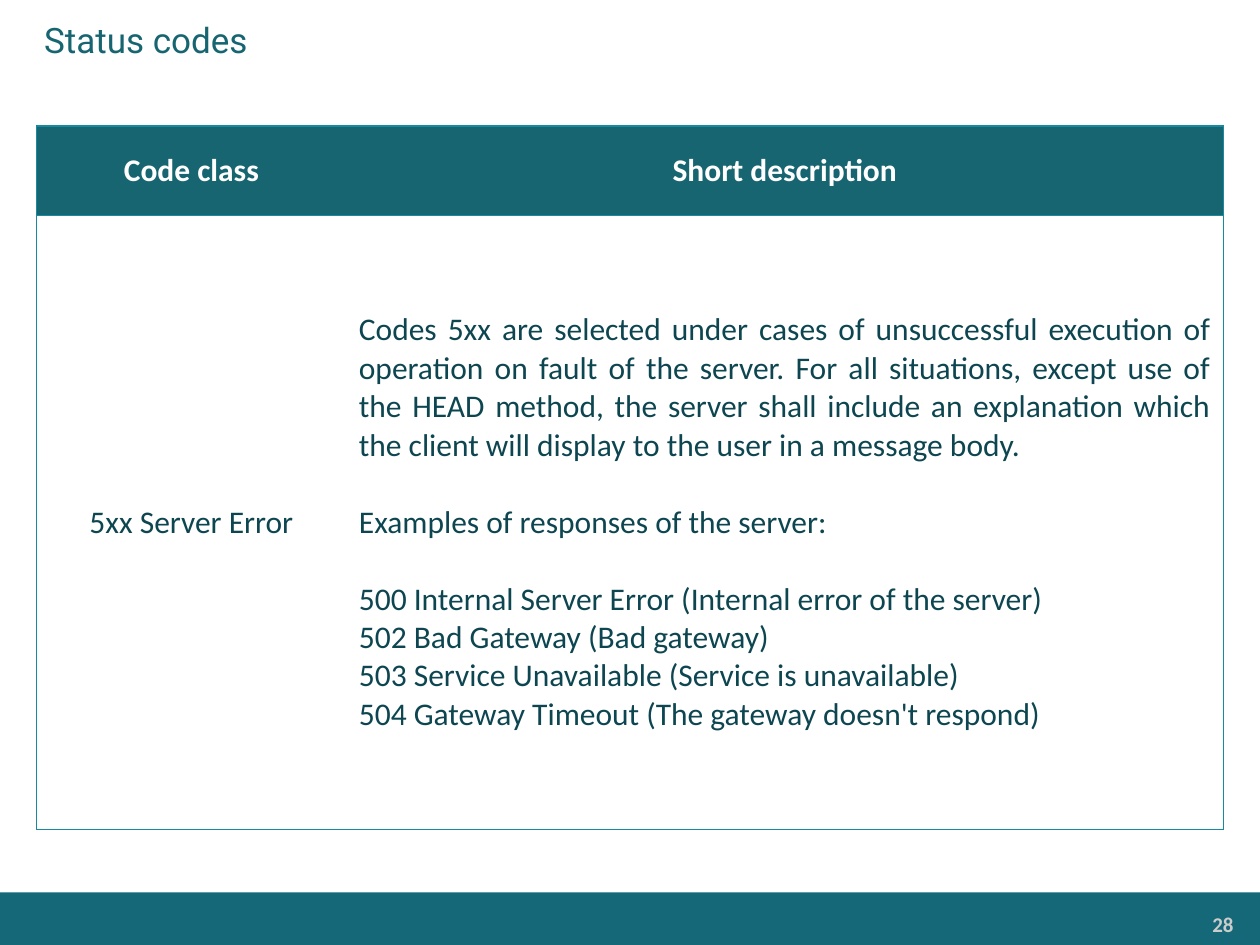
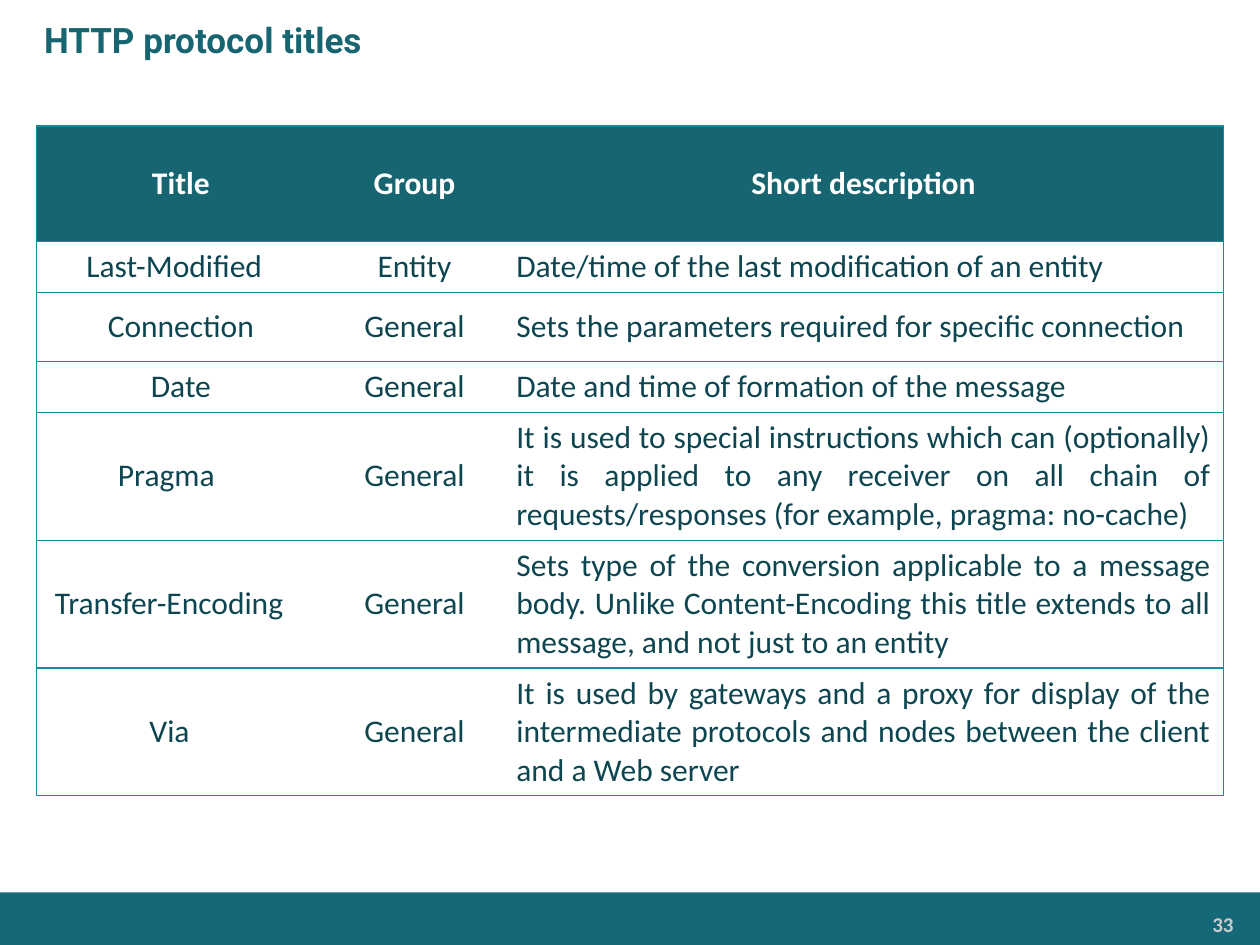
from dataclasses import dataclass

from lxml.etree import SubElement
from pptx import Presentation
from pptx.dml.color import RGBColor
from pptx.enum.shapes import MSO_SHAPE
from pptx.enum.text import MSO_ANCHOR, PP_ALIGN
from pptx.oxml.ns import qn
from pptx.util import Pt


@dataclass(frozen=True)
class Theme:
    heading: str = "176571"
    band: str = "146878"
    border: str = "178AA0"
    body: str = "0D4650"
    white: str = "FFFFFF"
    page_number: str = "CCCCCC"
    title_font: str = "Roboto"
    body_font: str = "Calibri"
    title_size: int = 20
    body_size: int = 18
    number_size: int = 12
    border_width: float = 0.75


THEME = Theme()
TABLE_LEFT, TABLE_TOP = 20.9, 72
ONE_LINE, THREE_LINES = 29.2, 73.1
PARAGRAPH_GAP = 22

STATUS_ROWS = [
    ["Code class", "Short description"],
    ["5xx Server Error", [
        "Codes 5xx are selected under cases of unsuccessful execution of operation on fault "
        "of the server. For all situations, except use of the HEAD method, the server shall "
        "include an explanation which the client will display to the user in a message body.",
        "Examples of responses of the server:",
        "500 Internal Server Error (Internal error of the server)",
        "502 Bad Gateway (Bad gateway)",
        "503 Service Unavailable (Service is unavailable)",
        "504 Gateway Timeout (The gateway doesn't respond)",
    ]],
]
HEADER_ROWS = [
    ["Title", "Group", "Short description"],
    ["Last-Modified\t", "Entity", "Date/time of the last modification of an entity"],
    ["Connection", "General", "Sets the parameters required for specific connection"],
    ["Date", "General", "Date and time of formation of the message"],
    ["Pragma\t", "General",
     "It is used to special instructions which can (optionally) it is applied to any receiver "
     "on all chain of requests/responses (for example, pragma: no-cache)"],
    ["Transfer-Encoding\t", "General",
     "Sets type of the conversion applicable to a message body. Unlike Content-Encoding this "
     "title extends to all message, and not just to an entity"],
    ["Via\t", "General",
     "It is used by gateways and a proxy for display of the intermediate protocols and nodes "
     "between the client and a Web server"],
]


def write_text(text_frame, text, *, size=THEME.body_size, font=THEME.body_font,
               color=THEME.body, bold=False, align=PP_ALIGN.LEFT, gap_before=()):
    """Write one paragraph per string; gap_before lists paragraphs set apart."""
    lines = [text] if isinstance(text, str) else text
    for index, line in enumerate(lines):
        paragraph = text_frame.paragraphs[0] if index == 0 else text_frame.add_paragraph()
        paragraph.alignment = align
        if index in gap_before:
            paragraph.space_before = Pt(PARAGRAPH_GAP)
        run = paragraph.add_run()
        run.text = line
        run.font.size = Pt(size)
        run.font.name = font
        run.font.bold = bold
        run.font.color.rgb = RGBColor.from_string(color)


def add_text_box(slide, left, top, width, height, text, margins, **text_format):
    frame = slide.shapes.add_textbox(Pt(left), Pt(top), Pt(width), Pt(height)).text_frame
    frame.word_wrap = True
    frame.vertical_anchor = MSO_ANCHOR.MIDDLE
    frame.margin_left, frame.margin_top, frame.margin_right, frame.margin_bottom = map(Pt, margins)
    write_text(frame, text, **text_format)


def set_borders(cell, visible_sides):
    properties = cell._tc.get_or_add_tcPr()
    for side in "LRTB":
        line = SubElement(properties, qn(f"a:ln{side}"), w=str(Pt(THEME.border_width)))
        if side in visible_sides:
            fill = SubElement(line, qn("a:solidFill"))
            SubElement(fill, qn("a:srgbClr"), val=THEME.border)
        else:
            SubElement(line, qn("a:noFill"))


def add_table(slide, rows, widths, heights, gap_before=()):
    table = slide.shapes.add_table(
        len(rows), len(widths), Pt(TABLE_LEFT), Pt(TABLE_TOP),
        Pt(sum(widths)), Pt(sum(heights))).table
    table.horz_banding = False
    for column, width in zip(table.columns, widths):
        column.width = Pt(width)
    for row, height in zip(table.rows, heights):
        row.height = Pt(height)

    last = len(widths) - 1
    for row_index, row in enumerate(rows):
        for column_index, text in enumerate(row):
            cell = table.cell(row_index, column_index)
            cell.vertical_anchor = MSO_ANCHOR.MIDDLE
            # Rules run between rows; only the outer edges have vertical lines
            set_borders(cell, "TB" + "L" * (column_index == 0) + "R" * (column_index == last))
            is_header = row_index == 0
            if is_header:
                cell.fill.solid()
                cell.fill.fore_color.rgb = RGBColor.from_string(THEME.heading)
            else:
                cell.fill.background()
            is_description = column_index == last and not is_header
            write_text(cell.text_frame, text, bold=is_header,
                       color=THEME.white if is_header else THEME.body,
                       align=PP_ALIGN.JUSTIFY if is_description else PP_ALIGN.CENTER,
                       gap_before=gap_before if is_description else ())


def add_slide(presentation, title, number, bold_title=False):
    slide = presentation.slides.add_slide(presentation.slide_layouts[6])
    # Footer band and page number
    band = slide.shapes.add_shape(MSO_SHAPE.RECTANGLE, 0, Pt(510), Pt(720.5), Pt(30.6))
    band.shadow.inherit = False
    band.fill.solid()
    band.fill.fore_color.rgb = RGBColor.from_string(THEME.band)
    band.line.fill.background()
    add_text_box(slide, 592.5, 517.7, 117.4, 20.2, str(number), (5, 2.9, 5, 2.9),
                 size=THEME.number_size, color=THEME.page_number, bold=True,
                 align=PP_ALIGN.RIGHT)
    # Title
    add_text_box(slide, 0, 0, 720, 45.4, title, (25.2, 3.6, 7.2, 3.6),
                 size=THEME.title_size, font=THEME.title_font,
                 color=THEME.heading, bold=bold_title)
    return slide


def main():
    presentation = Presentation()
    presentation.slide_width, presentation.slide_height = Pt(720), Pt(540)

    status_slide = add_slide(presentation, "Status codes", 28)
    add_table(status_slide, STATUS_ROWS, [177, 501.2], [51, 351], gap_before=(1, 2))

    titles_slide = add_slide(presentation, "HTTP protocol titles", 33, bold_title=True)
    add_table(titles_slide, HEADER_ROWS, [165, 102, 411.2],
              [66, ONE_LINE, 39.2, ONE_LINE] + [THREE_LINES] * 3)

    presentation.save("out.pptx")


if __name__ == "__main__":
    main()
